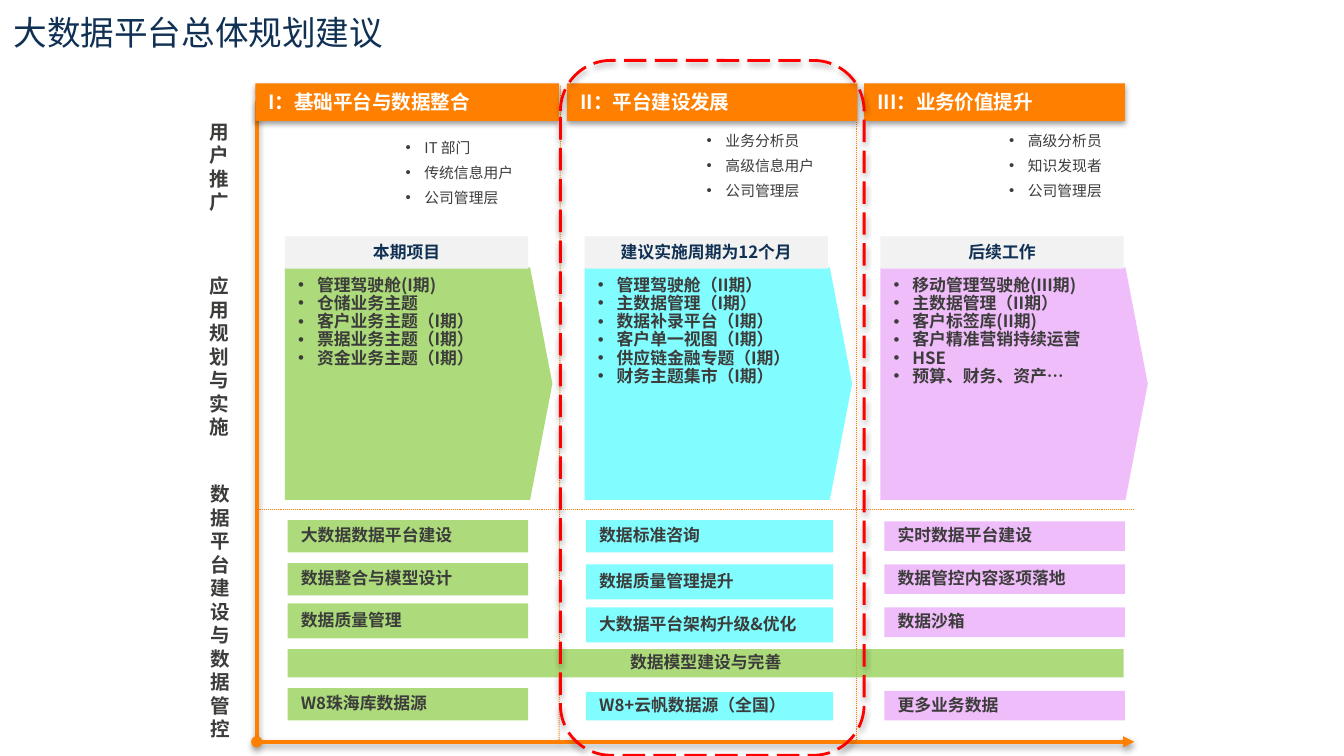
from lxml import etree
from pptx import Presentation
from pptx.dml.color import RGBColor
from pptx.enum.dml import MSO_LINE
from pptx.enum.shapes import MSO_CONNECTOR, MSO_SHAPE
from pptx.enum.text import MSO_ANCHOR, PP_ALIGN
from pptx.oxml.ns import qn
from pptx.util import Pt

PX = 9144  # 100 px to the inch
WIDE = 1000 * PX
HIGH = WIDE * 9 // 16
RECT, PLATE, ROUND = MSO_SHAPE.RECTANGLE, MSO_SHAPE.PENTAGON, MSO_SHAPE.ROUNDED_RECTANGLE
DOT, DASH = MSO_LINE.ROUND_DOT, MSO_LINE.LONG_DASH
TOP, MID, LOW = MSO_ANCHOR.TOP, MSO_ANCHOR.MIDDLE, MSO_ANCHOR.BOTTOM
LEFT, CENTER = PP_ALIGN.LEFT, PP_ALIGN.CENTER

ORANGE = RGBColor(0xFF, 0x7F, 0x01)
GREEN = RGBColor(0x92, 0xD0, 0x50)
CYAN = RGBColor(0x81, 0xFC, 0xFF)
PINK = RGBColor(0xF0, 0xBD, 0xFB)
GRAY = RGBColor(0xF2, 0xF2, 0xF2)
NAVY = RGBColor(0x10, 0x31, 0x54)
INK = RGBColor(0x3C, 0x3C, 0x3B)
WHITE = RGBColor(0xFF, 0xFF, 0xFF)
RED = RGBColor(0xFF, 0x00, 0x00)
SANS, HEAD = "Noto Sans CJK SC", "Quicksand"

TITLE = "大数据平台总体规划建议"
# left, top, width, height, alignment, paragraphs
LABELS = [
    (146, 84, 44, 81, LEFT, ["用户推广"]),
    (141, 199, 44, 134, CENTER, ["应用规划与", "实施"]),
    (142, 354, 44, 204, CENTER, ["数据", "平台建设与", "数据管控"]),
]
# head and users: box; cards: left, width, then (top, height, text)
PHASES = [
    {"color": GREEN, "alpha": 75, "left": 212,
     "head": (190, 226, "I：基础平台与数据整合"),
     "users": (292, 98, 110, ["IT 部门", "传统信息用户", "公司管理层"]),
     "note": "本期项目",
     "plan": ["管理驾驶舱(I期)", "仓储业务主题", "客户业务主题（I期）",
              "票据业务主题（I期）", "资金业务主题（I期）"],
     "cards": (214, 179, [(387, 24, "大数据数据平台建设"), (419, 24, "数据整合与模型设计"),
                          (449, 26, "数据质量管理"), (512, 24, "W8珠海库数据源")])},
    {"color": CYAN, "alpha": 100, "left": 435,
     "head": (422, 216, "II：平台建设发展"),
     "users": (516, 93, 104, ["业务分析员", "高级信息用户", "公司管理层"]),
     "note": "建议实施周期为12个月",
     "plan": ["管理驾驶舱（II期）", "主数据管理（I期）", "数据补录平台（I期）",
              "客户单一视图（I期）", "供应链金融专题（I期）", "财务主题集市（I期）"],
     "cards": (436, 184, [(387, 24, "数据标准咨询"), (420, 26, "数据质量管理提升"),
                          (452, 26, "大数据平台架构升级&优化"),
                          (515, 21, "W8+云帆数据源（全国）")])},
    {"color": PINK, "alpha": 100, "left": 655,
     "head": (643, 194, "III：业务价值提升"),
     "users": (741, 93, 96, ["高级分析员", "知识发现者", "公司管理层"]),
     "note": "后续工作",
     "plan": ["移动管理驾驶舱(III期)", "主数据管理（II期）", "客户标签库(II期)",
              "客户精准营销持续运营", "HSE", "预算、财务、资产…"],
     "cards": (658, 179, [(388, 22, "实时数据平台建设"), (420, 22, "数据管控内容逐项落地"),
                          (452, 22, "数据沙箱"), (514, 22, "更多业务数据")])},
]
SHARED = (214, 483, 622, 21, "数据模型建设与完善")
# from x, y to x, y, width in points, dash, arrowheads
AXES = [
    (191, 75, 191, 551, 2, None, False),
    (416, 552, 417, 64, 0.5, DOT, False),
    (637, 552, 637, 64, 0.5, DOT, False),
    (191, 379, 844, 379, 0.5, DOT, False),
    (191, 552, 844, 552, 2, None, True),
]
FRAME = (417, 45, 226, 517)


def sub(parent, tag, **attrs):
    return etree.SubElement(parent, qn(tag), {k: str(v) for k, v in attrs.items()})


def shade(props, alpha=38):
    """Put a soft shadow straight below the outline or shape."""
    effects = props.find(qn("a:effectLst"))
    if effects is None:
        effects = sub(props, "a:effectLst")
    outer = sub(effects, "a:outerShdw", blurRad=Pt(3.1), dist=Pt(1.6),
                dir=5400000, rotWithShape=0)
    sub(sub(outer, "a:srgbClr", val="000000"), "a:alpha", val=alpha * 1000)


def write(shape, lines, size, color, bold=True, align=LEFT, anchor=TOP, font=SANS,
          pads=(10, 5), wrap=True, bullet=False, space=None, gap=0):
    frame = shape.text_frame
    frame.word_wrap, frame.vertical_anchor = wrap, anchor
    frame.margin_left = frame.margin_right = pads[0] * PX
    frame.margin_top = frame.margin_bottom = pads[1] * PX
    for i, line in enumerate(lines):
        para = frame.add_paragraph() if i else frame.paragraphs[0]
        para.alignment = align
        if space:
            para.line_spacing = space
        if gap and i:
            para.space_before = Pt(gap)
        if bullet:
            props = para._p.get_or_add_pPr()
            props.set("marL", str(14 * PX))
            props.set("indent", str(-14 * PX))
            sub(props, "a:buFont", typeface="Arial")
            sub(props, "a:buChar", char="•")
        run = para.add_run()
        run.text = line
        run.font.size, run.font.bold, run.font.name = Pt(size), bold, font
        run.font.color.rgb = color
        sub(run._r.get_or_add_rPr(), "a:ea", typeface=font)


def add_text(slide, box, lines, size, color, **opts):
    write(slide.shapes.add_textbox(*(n * PX for n in box)), lines, size, color, **opts)


def add_box(slide, box, color=None, alpha=100, kind=RECT):
    shape = slide.shapes.add_shape(kind, *(n * PX for n in box))
    shape.shadow.inherit = False
    shape.line.fill.background()
    if color is None:
        shape.fill.background()
        return shape
    shape.fill.solid()
    shape.fill.fore_color.rgb = color
    if alpha < 100:
        tint = shape._element.spPr.find(qn("a:solidFill"))[0]
        sub(tint, "a:alpha", val=alpha * 1000)
    return shape


def add_card(slide, box, text, color, alpha, align=LEFT):
    write(add_box(slide, box, color, alpha), [text], 9, INK, align=align,
          anchor=MID, pads=(10, 7), space=0.9)


def add_axis(slide, x1, y1, x2, y2, width, dash, ends):
    axis = slide.shapes.add_connector(MSO_CONNECTOR.STRAIGHT,
                                      x1 * PX, y1 * PX, x2 * PX, y2 * PX)
    axis.line.color.rgb, axis.line.width = ORANGE, Pt(width)
    if dash:
        axis.line.dash_style = dash
    props = axis._element.spPr
    if ends:
        sub(props.find(qn("a:ln")), "a:headEnd", type="oval")
        sub(props.find(qn("a:ln")), "a:tailEnd", type="triangle")
    shade(props)


def add_phase(slide, phase):
    color, alpha, left = phase["color"], phase["alpha"], phase["left"]
    x, width, text = phase["head"]
    head = add_box(slide, (x, 62, width, 28), ORANGE)
    shade(head._element.spPr)
    write(head, [text], 10.5, WHITE)

    x, y, width, users = phase["users"]
    add_text(slide, (x, y, width, 63), users, 7.9, INK, bold=False, bullet=True, gap=4)

    plan = add_box(slide, (left, 199, 199, 173), color, alpha, PLATE)
    plan.adjustments[0] = 0.096
    write(plan, phase["plan"], 9, INK, pads=(10, 7), bullet=True, space=0.9)
    note = add_box(slide, (left, 176, 181, 24), GRAY)
    write(note, [phase["note"]], 9, NAVY, align=CENTER, anchor=LOW, wrap=False)

    x, width, cards = phase["cards"]
    for y, height, text in cards:
        add_card(slide, (x, y, width, height), text, color, alpha)


def main():
    deck = Presentation()
    deck.slide_width, deck.slide_height = WIDE, HIGH
    slide = deck.slides.add_slide(deck.slide_layouts[6])
    for axis in AXES:
        add_axis(slide, *axis)
    add_text(slide, (3, 3, 675, 42), [TITLE], 18, NAVY, bold=False, anchor=MID,
             font=HEAD, pads=(7, 0))
    for *box, align, lines in LABELS:
        add_text(slide, box, lines, 10.5, INK, align=align)
    for phase in PHASES:
        add_phase(slide, phase)
    *box, text = SHARED
    add_card(slide, box, text, GREEN, 75, CENTER)
    frame = add_box(slide, FRAME, kind=ROUND)
    frame.line.color.rgb, frame.line.width = RED, Pt(1.5)
    frame.line.dash_style = DASH
    shade(frame._element.spPr, 35)
    deck.save("out.pptx")


if __name__ == "__main__":
    main()
